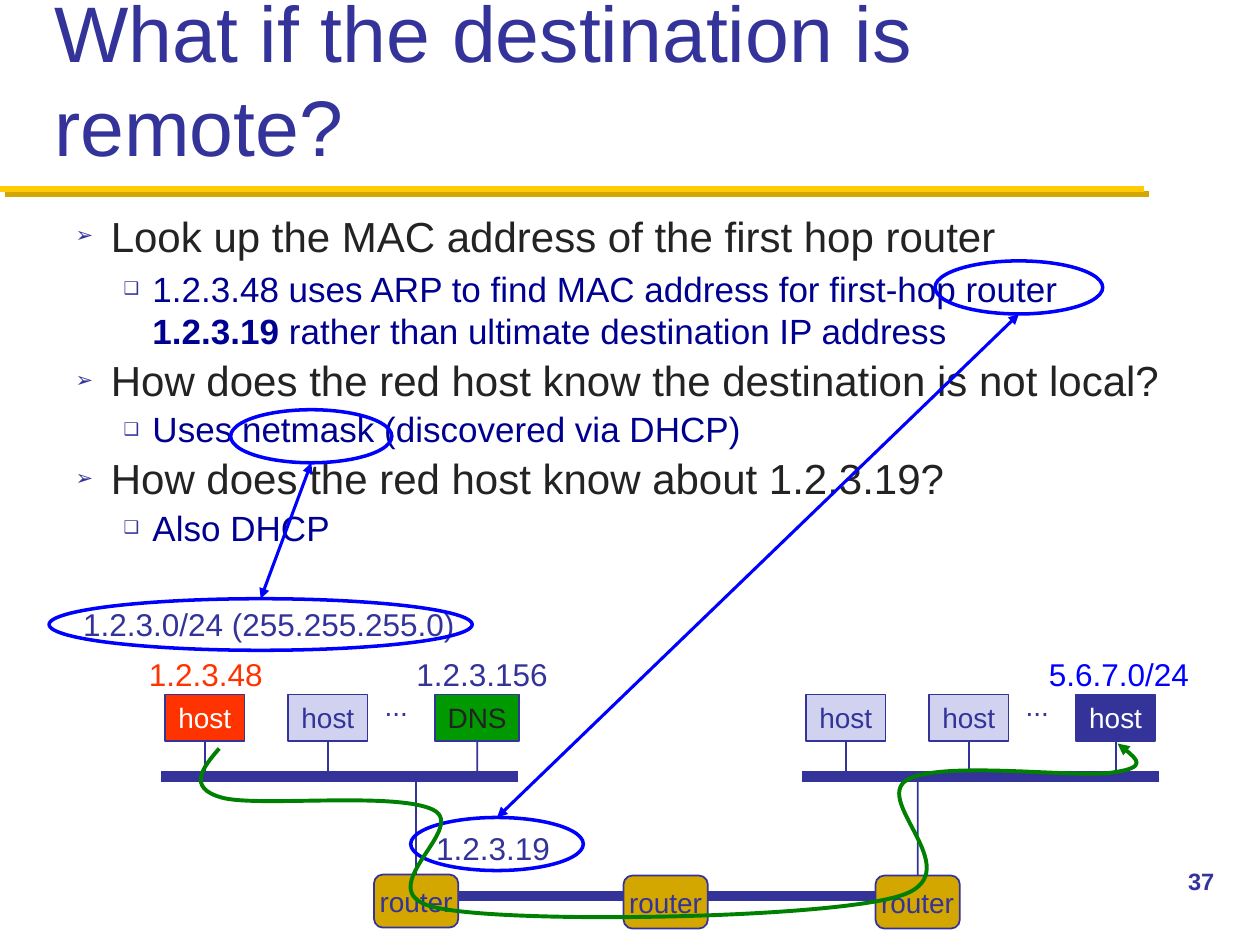
from lxml import etree
from pptx import Presentation
from pptx.dml.color import RGBColor
from pptx.enum.shapes import MSO_CONNECTOR, MSO_SHAPE
from pptx.enum.text import MSO_ANCHOR, MSO_AUTO_SIZE, PP_ALIGN
from pptx.oxml.ns import qn
from pptx.util import Cm, Pt

STRAIGHT = MSO_CONNECTOR.STRAIGHT
RECTANGLE, ROUNDED, OVAL = MSO_SHAPE.RECTANGLE, MSO_SHAPE.ROUNDED_RECTANGLE, MSO_SHAPE.OVAL
MIDDLE, BOTTOM = MSO_ANCHOR.MIDDLE, MSO_ANCHOR.BOTTOM
NO_AUTOFIT = MSO_AUTO_SIZE.NONE
LEFT, CENTER = PP_ALIGN.LEFT, PP_ALIGN.CENTER
TOP_SIDE, BOTTOM_SIDE = 0, 2

INDIGO = RGBColor(0x33, 0x33, 0x99)
NAVY = RGBColor(0x00, 0x00, 0x90)
BLUE = RGBColor(0x00, 0x00, 0xFF)
LAVENDER = RGBColor(0xD1, 0xD1, 0xF0)
RED = RGBColor(0xFF, 0x33, 0x00)
GREEN = RGBColor(0x00, 0x99, 0x00)
DARK_GREEN = RGBColor(0x00, 0x80, 0x00)
YELLOW = RGBColor(0xFF, 0xCB, 0x05)
GOLD = RGBColor(0xD3, 0xA6, 0x00)
CHARCOAL = RGBColor(0x23, 0x23, 0x23)
WHITE = RGBColor(0xFF, 0xFF, 0xFF)

BULLETS = [
    (0, 1.0, ["Look up the MAC address of the first hop router"]),
    (1, 1.0, ["1.2.3.48 uses ARP to find MAC address for first-hop router ", "1.2.3.19",
              " rather than ultimate destination IP address"]),
    (0, 0.9, ["How does the red host know the destination is not local?"]),
    (1, 0.9, ["Uses netmask (discovered via DHCP)"]),
    (0, 0.9, ["How does the red host know about 1.2.3.19?"]),
    (1, 0.9, ["Also DHCP"]),
]
LEVELS = [("➢", 0.71, -0.71, 24, CHARCOAL), ("❑", 1.55, -0.58, 20, NAVY)]
LEFT_HOSTS = [("host", 1.6, RED, WHITE), ("host", 1.6, LAVENDER, INDIGO), ("DNS", 1.7, GREEN, CHARCOAL)]
RIGHT_HOSTS = [("host", 1.6, LAVENDER, INDIGO), ("host", 1.6, LAVENDER, INDIGO), ("host", 1.6, INDIGO, WHITE)]
HOST_OFFSETS = [0.08, 2.56, 5.52]
ROUTERS = [(7.54, 17.63), (12.57, 17.65), (17.65, 17.65)]
ADDRESSES = [
    ("1.2.3.0/24 (255.255.255.0)", 1.09, 12.07, 8.66, INDIGO),
    ("5.6.7.0/24", 20.88, 13.08, 3.35, BLUE),
    ("1.2.3.156", 8.13, 13.08, 3.18, INDIGO),
    ("1.2.3.48", 2.74, 13.08, 2.82, RED),
    ("1.2.3.19", 8.53, 16.59, 2.82, INDIGO),
]
ROUTE = [
    (4.42, 15.09), (4.09, 15.47), (3.76, 15.88), (4.47, 16.08), (5.18, 16.28), (8, 15.95),
    (8.74, 16.33), (9.47, 16.71), (7.29, 18.03), (8.86, 18.31), (10.41, 18.62), (16.51, 18.52),
    (18.08, 18.08), (19.66, 17.65), (17.55, 16.15), (18.29, 15.72), (19, 15.32), (21.74, 15.7),
    (22.45, 15.57), (23.14, 15.47), (22.83, 15.21), (22.53, 14.99),
]


def format_runs(paragraph, size, color, bold=False):
    """Give every run of a paragraph the slide font."""
    for run in paragraph.runs:
        run.font.name = "Arial"
        run.font.size = Pt(size)
        run.font.color.rgb = color
        run.font.bold = bold


def place(shape, left, top, width, height):
    """Move and size a placeholder."""
    shape.left, shape.top, shape.width, shape.height = Cm(left), Cm(top), Cm(width), Cm(height)
    shape.text_frame.auto_size = NO_AUTOFIT


def set_title(slide):
    """Fill the title placeholder."""
    title = slide.shapes.title
    place(title, 0.84, 0.43, 23.7, 3.18)
    title.text_frame.text = "What if the destination is remote?"
    title.text_frame.vertical_anchor = BOTTOM
    title.text_frame.paragraphs[0].alignment = LEFT
    format_runs(title.text_frame.paragraphs[0], 45, INDIGO)


def add_bullet(paragraph, symbol, margin, indent):
    """Set a half-size bullet and a hanging indent."""
    properties = paragraph._p.get_or_add_pPr()
    properties.set("marL", str(Cm(margin)))
    properties.set("indent", str(Cm(indent)))
    color = etree.SubElement(properties, qn("a:buClr"))
    etree.SubElement(color, qn("a:srgbClr"), val=str(INDIGO))
    etree.SubElement(properties, qn("a:buSzPct"), val="50000")
    etree.SubElement(properties, qn("a:buFont"), typeface="Arial")
    etree.SubElement(properties, qn("a:buChar"), char=symbol)


def set_body(slide):
    """Fill the body placeholder with the two-level list."""
    body = slide.placeholders[1]
    place(body, 1.27, 4.11, 22.86, 12.24)
    frame = body.text_frame
    for index, (level, spacing, texts) in enumerate(BULLETS):
        paragraph = frame.paragraphs[0] if index == 0 else frame.add_paragraph()
        symbol, margin, indent, size, color = LEVELS[level]
        paragraph.level = level
        add_bullet(paragraph, symbol, margin, indent)
        paragraph.line_spacing = spacing
        paragraph.space_before = Pt(size * 0.2 if index else 0)
        for text in texts:
            paragraph.add_run().text = text
        format_runs(paragraph, size, color)
        if len(texts) > 1:
            paragraph.runs[1].font.bold = True


def add_text(slide, text, left, top, width, height, size, color, alignment=CENTER, bold=False):
    """Add a one-line label."""
    box = slide.shapes.add_textbox(Cm(left), Cm(top), Cm(width), Cm(height))
    box.text_frame.text = text
    box.text_frame.word_wrap = False
    paragraph = box.text_frame.paragraphs[0]
    paragraph.alignment = alignment
    format_runs(paragraph, size, color, bold)
    return box


def add_line(slide, start, end, color, width):
    """Add a straight line without the theme's shadow."""
    line = slide.shapes.add_connector(STRAIGHT, *(Cm(value) for value in start + end))
    line.line.color.rgb = color
    line.line.width = Pt(width)
    etree.SubElement(line._element.spPr, qn("a:effectLst"))
    return line


def add_arrowheads(shape, *ends):
    """Put triangles on the named ends of a line."""
    line = shape.line._get_or_add_ln()
    for end in ends:
        etree.SubElement(line, qn(f"a:{end}"), type="triangle")


def add_title_rule(slide):
    """Add the yellow rule with its gold shadow."""
    rule = add_line(slide, (0, 3.81), (23.06, 3.81), YELLOW, 3.5)
    effects = rule._element.spPr.find(qn("a:effectLst"))
    shadow = etree.SubElement(effects, qn("a:outerShdw"), dist=str(Pt(4.2)), dir="2700000")
    etree.SubElement(shadow, qn("a:srgbClr"), val=str(GOLD))


def add_node(slide, kind, text, left, top, width, height, fill, color):
    """Add a labelled host or router."""
    node = slide.shapes.add_shape(kind, Cm(left), Cm(top), Cm(width), Cm(height))
    node.shadow.inherit = False
    node.fill.solid()
    node.fill.fore_color.rgb = fill
    node.line.color.rgb = INDIGO
    node.line.width = Pt(1)
    frame = node.text_frame
    frame.text = text
    frame.word_wrap = False
    frame.vertical_anchor = MIDDLE
    frame.paragraphs[0].alignment = CENTER
    format_runs(frame.paragraphs[0], 16, color)
    return node


def add_network(slide, left, hosts):
    """Add a local network: a bus with three hosts above it."""
    add_line(slide, (left, 15.65), (left + 7.2, 15.65), INDIGO, 6)
    for offset, (text, width, fill, color) in zip(HOST_OFFSETS, hosts):
        host = add_node(slide, RECTANGLE, text, left + offset, 14, width, 0.94, fill, color)
        center = left + offset + width / 2
        stem = add_line(slide, (center, 14.94), (center, 15.65), INDIGO, 1)
        stem.begin_connect(host, BOTTOM_SIDE)
    dots = add_text(slide, "...", left + 4.24, 13.74, 1, 0.94, 16, INDIGO)
    dots.text_frame.vertical_anchor = MIDDLE


def add_routers(slide):
    """Add the routers, their links and the drops from both networks."""
    for left in (9.2, 14.27):
        add_line(slide, (left, 18.06), (left + 3.38, 18.06), INDIGO, 6)
    routers = [add_node(slide, ROUNDED, "router", left, top, 1.7, 1.07, GOLD, INDIGO)
               for left, top in ROUTERS]
    for router, (left, top) in ((routers[0], ROUTERS[0]), (routers[2], ROUTERS[2])):
        drop = add_line(slide, (left + 0.85, 15.6), (left + 0.85, top), INDIGO, 1)
        drop.end_connect(router, TOP_SIDE)


def add_highlight(slide, upper, lower):
    """Circle two related terms and join them with a double arrow."""
    for bounds in (upper, lower):
        oval = slide.shapes.add_shape(OVAL, *(Cm(value) for value in bounds))
        oval.shadow.inherit = False
        oval.fill.background()
        oval.line.color.rgb = BLUE
        oval.line.width = Pt(2)
    start = (upper[0] + upper[2] / 2, upper[1] + upper[3])
    end = (lower[0] + lower[2] / 2, lower[1])
    add_arrowheads(add_line(slide, start, end, BLUE, 1.75), "headEnd", "tailEnd")


def add_route(slide):
    """Draw the packet's curved route, three points to each curve."""
    points = [(Cm(x), Cm(y)) for x, y in ROUTE]
    builder = slide.shapes.build_freeform(*points[0])
    builder.add_line_segments(points[1:], close=False)
    route = builder.convert_to_shape()
    path = next(route._element.iter(qn("a:path")))
    segments = path.findall(qn("a:lnTo"))
    for index in range(0, len(segments), 3):
        curve = etree.SubElement(path, qn("a:cubicBezTo"))
        for segment in segments[index:index + 3]:
            curve.append(segment[0])
            path.remove(segment)
    route.shadow.inherit = False
    route.fill.background()
    route.line.color.rgb = DARK_GREEN
    route.line.width = Pt(2.25)
    add_arrowheads(route, "tailEnd")


def main():
    """Build and save the slide."""
    presentation = Presentation()
    presentation.slide_width, presentation.slide_height = Cm(25.4), Cm(19.05)
    slide = presentation.slides.add_slide(presentation.slide_layouts[1])
    add_title_rule(slide)
    set_title(slide)
    set_body(slide)
    add_text(slide, "37", 23.7, 17.35, 1.7, 1.27, 13.5, INDIGO, LEFT, True)
    add_network(slide, 3.25, LEFT_HOSTS)
    add_network(slide, 16.17, RIGHT_HOSTS)
    add_routers(slide)
    for text, left, top, width, color in ADDRESSES:
        add_text(slide, text, left, top, width, 1.02, 18, color)
    add_highlight(slide, (18.85, 5.26, 3.38, 1.07), (8.28, 16.48, 3.48, 1.07))
    add_highlight(slide, (4.65, 8.26, 3.25, 1.07), (0.99, 12.07, 8.53, 1.04))
    add_route(slide)
    presentation.save("out.pptx")


if __name__ == "__main__":
    main()
